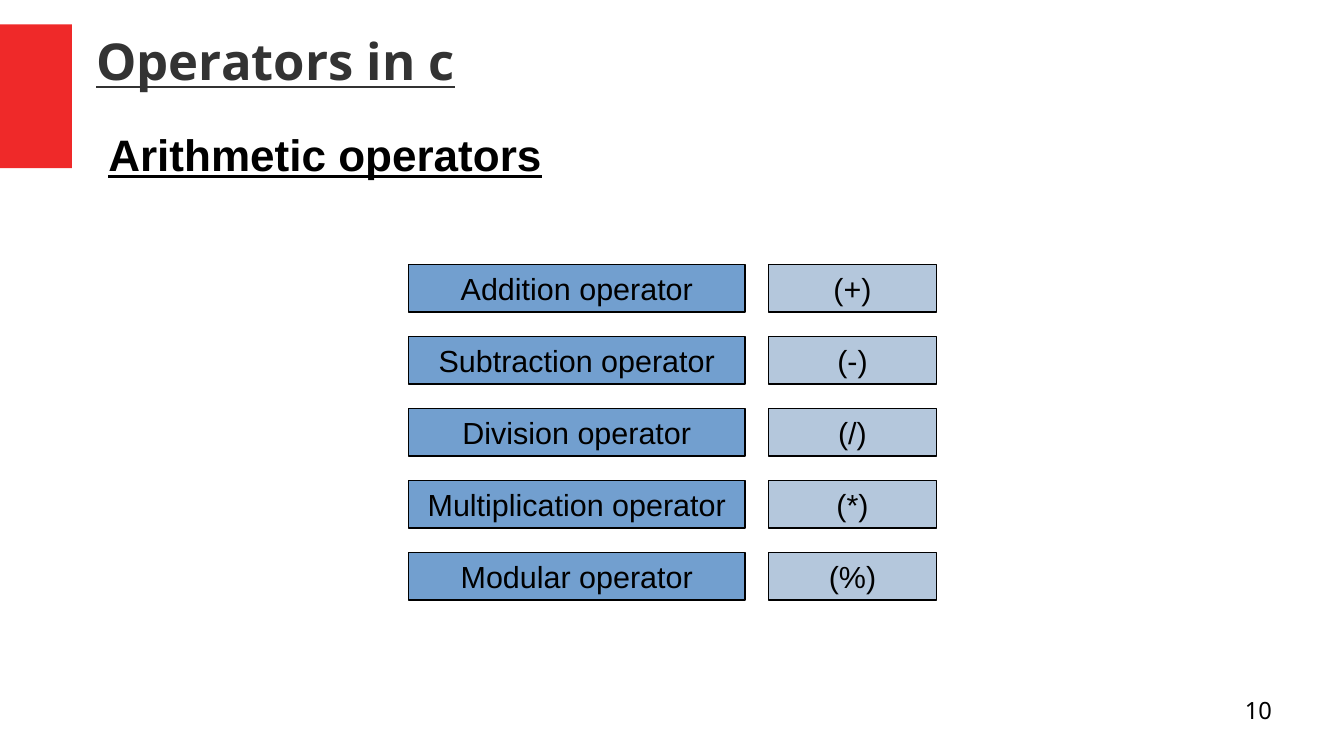
from dataclasses import dataclass

from pptx import Presentation
from pptx.dml.color import RGBColor
from pptx.enum.shapes import MSO_SHAPE
from pptx.enum.text import MSO_ANCHOR, PP_ALIGN
from pptx.slide import Slide
from pptx.text.text import TextFrame
from pptx.util import Inches, Pt

RED = RGBColor(0xEF, 0x29, 0x29)
BLUE = RGBColor(0x72, 0x9F, 0xCF)
PALE_BLUE = RGBColor(0xB4, 0xC7, 0xDC)
DARK_GREY = RGBColor(0x33, 0x33, 0x33)
BLACK = RGBColor(0, 0, 0)

FIRST_ROW_TOP = 2.17
ROW_STEP = 0.59
BOX_HEIGHT = 0.39


@dataclass(frozen=True)
class Area:
    left: float
    top: float
    width: float
    height: float

    def lengths(self) -> tuple[int, int, int, int]:
        return (Inches(self.left), Inches(self.top),
                Inches(self.width), Inches(self.height))


@dataclass(frozen=True)
class TextStyle:
    font: str
    size: float
    color: RGBColor = BLACK
    heading: bool = False
    align: PP_ALIGN = PP_ALIGN.LEFT
    anchor: MSO_ANCHOR = MSO_ANCHOR.TOP
    side_inset: float = 0
    top_inset: float = 0
    wrap: bool = True


@dataclass(frozen=True)
class Operator:
    name: str
    symbol: str


@dataclass(frozen=True)
class Column:
    left: float
    width: float
    fill: RGBColor


TITLE = TextStyle("Noto Sans", 30, DARK_GREY, True, anchor=MSO_ANCHOR.MIDDLE)
SUBTITLE = TextStyle("Arial", 26, heading=True, side_inset=0.1, top_inset=0.05)
BOX_LABEL = TextStyle("Arial", 18, align=PP_ALIGN.CENTER,
                      anchor=MSO_ANCHOR.MIDDLE, side_inset=0.1,
                      top_inset=0.05, wrap=False)
PAGE_NUMBER = TextStyle("Noto Sans", 14, align=PP_ALIGN.RIGHT)

NAME_COLUMN = Column(3.35, 2.76, BLUE)
SYMBOL_COLUMN = Column(6.3, 1.38, PALE_BLUE)
OPERATORS = [
    Operator("Addition operator", "(+)"),
    Operator("Subtraction operator", "(-)"),
    Operator("Division operator", "(/)"),
    Operator("Multiplication operator", "(*)"),
    Operator("Modular operator", "(%)"),
]


def write_text(frame: TextFrame, text: str, style: TextStyle) -> None:
    frame.word_wrap = style.wrap
    frame.vertical_anchor = style.anchor
    frame.margin_left = frame.margin_right = Inches(style.side_inset)
    frame.margin_top = frame.margin_bottom = Inches(style.top_inset)
    para = frame.paragraphs[0]
    para.alignment = style.align
    span = para.add_run()
    span.text = text
    span.font.name = style.font
    span.font.size = Pt(style.size)
    span.font.color.rgb = style.color
    span.font.bold = style.heading
    span.font.underline = style.heading


def add_title(page: Slide, area: Area, text: str) -> None:
    title = page.shapes.title
    title.left, title.top, title.width, title.height = area.lengths()
    write_text(title.text_frame, text, TITLE)


def add_text(page: Slide, area: Area, text: str, style: TextStyle) -> None:
    box = page.shapes.add_textbox(*area.lengths())
    write_text(box.text_frame, text, style)


def add_accent(page: Slide, area: Area) -> None:
    accent = page.shapes.add_shape(MSO_SHAPE.RECTANGLE, *area.lengths())
    accent.shadow.inherit = False
    accent.fill.solid()
    accent.fill.fore_color.rgb = RED
    accent.line.fill.background()


def add_operator_box(page: Slide, column: Column, top: float, text: str) -> None:
    area = Area(column.left, top, column.width, BOX_HEIGHT)
    box = page.shapes.add_shape(MSO_SHAPE.RECTANGLE, *area.lengths())
    box.shadow.inherit = False
    box.fill.solid()
    box.fill.fore_color.rgb = column.fill
    box.line.color.rgb = BLACK
    box.line.width = Pt(0.85)
    write_text(box.text_frame, text, BOX_LABEL)


def main() -> None:
    deck = Presentation()
    deck.slide_width = Inches(11.02)
    deck.slide_height = Inches(6.2)
    page = deck.slides.add_slide(deck.slide_layouts[5])

    add_accent(page, Area(0, 0.2, 0.59, 1.18))
    add_title(page, Area(0.79, 0.2, 9.84, 0.59), "Operators in c")
    add_text(page, Area(0.79, 1, 4.13, 0.5), "Arithmetic operators", SUBTITLE)
    for row, operator in enumerate(OPERATORS):
        top = FIRST_ROW_TOP + row * ROW_STEP
        add_operator_box(page, NAME_COLUMN, top, operator.name)
        add_operator_box(page, SYMBOL_COLUMN, top, operator.symbol)
    add_text(page, Area(7.87, 5.71, 2.56, 0.43), "10", PAGE_NUMBER)

    deck.save("out.pptx")


if __name__ == "__main__":
    main()
